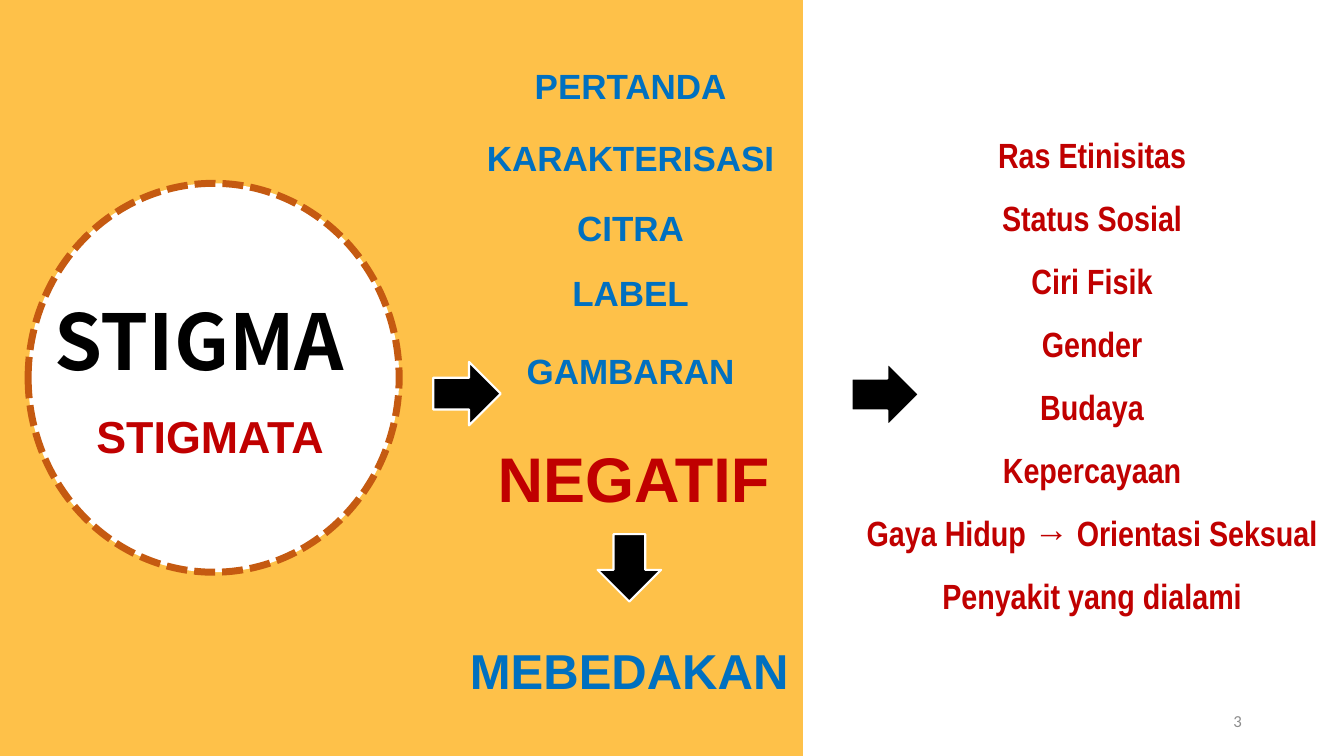
from pptx import Presentation
from pptx.dml.color import RGBColor
from pptx.enum.dml import MSO_LINE_DASH_STYLE as Dash
from pptx.enum.shapes import MSO_SHAPE as Preset
from pptx.enum.text import MSO_ANCHOR as Anchor, MSO_AUTO_SIZE as AutoSize, PP_ALIGN as Align
from pptx.util import Cm, Pt

AMBER, WHITE, BLACK = "FEC149", "FFFFFF", "000000"
RUST, BLUE, RED, GRAY = "C55A11", "0070C0", "C00000", "8C8C8C"

MEANINGS = [
    ("PERTANDA", 1.14),
    ("KARAKTERISASI", 2.95),
    ("CITRA", 4.72),
    ("LABEL", 6.35),
    ("GAMBARAN", 8.31),
]
GROUNDS = [
    "Ras Etinisitas",
    "Status Sosial",
    "Ciri Fisik",
    "Gender",
    "Budaya",
    "Kepercayaan",
    "Gaya Hidup → Orientasi Seksual",
    "Penyakit yang dialami",
]
ARROWS = [(10.92, 9.12, 0), (21.46, 9.14, 0), (15.01, 13.51, 90)]

SLIDE_WIDTH, SLIDE_HEIGHT = 33.87, 19.05
PANEL_LEFT = 20.24
MEANING_CENTER, MEANING_WIDTH, MEANING_HEIGHT = 15.89, 9.37, 2.18

presentation = Presentation()
presentation.slide_width, presentation.slide_height = Cm(SLIDE_WIDTH), Cm(SLIDE_HEIGHT)
slide = presentation.slides.add_slide(presentation.slide_layouts[5])


def color(value):
    return RGBColor.from_string(value)


def add_figure(preset, box, fill, line=None, width=0, dash=None, rotation=0):
    shape = slide.shapes.add_shape(preset, *map(Cm, box))
    shape.shadow.inherit = False
    shape.rotation = rotation
    shape.fill.solid()
    shape.fill.fore_color.rgb = color(fill)
    if line:
        shape.line.color.rgb = color(line)
        shape.line.width = Pt(width)
        shape.line.dash_style = dash
    else:
        shape.line.fill.background()
    return shape


def add_text(text, box, size, ink, font="Arial", bold=True, align=Align.CENTER,
             spacing=0.9, shape=None):
    shape = shape or slide.shapes.add_textbox(*map(Cm, box))
    shape.left, shape.top, shape.width, shape.height = map(Cm, box)
    frame = shape.text_frame
    frame.text = text
    frame.word_wrap = True
    frame.auto_size = AutoSize.NONE
    frame.vertical_anchor = Anchor.MIDDLE
    for paragraph in frame.paragraphs:
        paragraph.alignment = align
        paragraph.line_spacing = spacing
        paragraph.space_before = Pt(0)
        for run in paragraph.runs:
            run.font.name = font
            run.font.size = Pt(size)
            run.font.bold = bold
            run.font.color.rgb = color(ink)


slide.background.fill.solid()
slide.background.fill.fore_color.rgb = color(AMBER)

add_figure(Preset.OVAL, (0.71, 4.62, 9.35, 9.8), WHITE, RUST, 5, Dash.SQUARE_DOT)
panel = add_figure(
    Preset.RECTANGLE, (PANEL_LEFT, 0, SLIDE_WIDTH - PANEL_LEFT, SLIDE_HEIGHT), WHITE)

title = slide.shapes.title
panel.element.addnext(title.element)
add_text("STIGMA", (1.12, 7.14, 8.89, 3.12), 55, BLACK,
         font="Noto Sans CJK SC", align=Align.LEFT, shape=title)
add_text("STIGMATA", (2.18, 9.96, 6.76, 2.18), 32, RED, align=Align.LEFT)

for meaning, top in MEANINGS:
    left = MEANING_CENTER - MEANING_WIDTH / 2
    add_text(meaning, (left, top, MEANING_WIDTH, MEANING_HEIGHT), 25, BLUE)

add_text("NEGATIF", (11.28, 11.07, 9.37, 2.18), 45, RED)
add_text("MEBEDAKAN", (9.75, 15.24, 12.22, 3.48), 35, BLUE)
add_text("\n".join(GROUNDS), (19.61, 1.6, 15.82, 15.16), 25, RED,
         font="Arial Narrow", spacing=1.5)
add_text("3", (23.93, 17.65, 7.62, 1.02), 12, GRAY,
         font="Calibri", bold=False, align=Align.RIGHT, spacing=1)

for left, top, rotation in ARROWS:
    add_figure(Preset.RIGHT_ARROW, (left, top, 1.7, 1.6), BLACK, WHITE, 1.5,
               rotation=rotation)

presentation.save("out.pptx")
